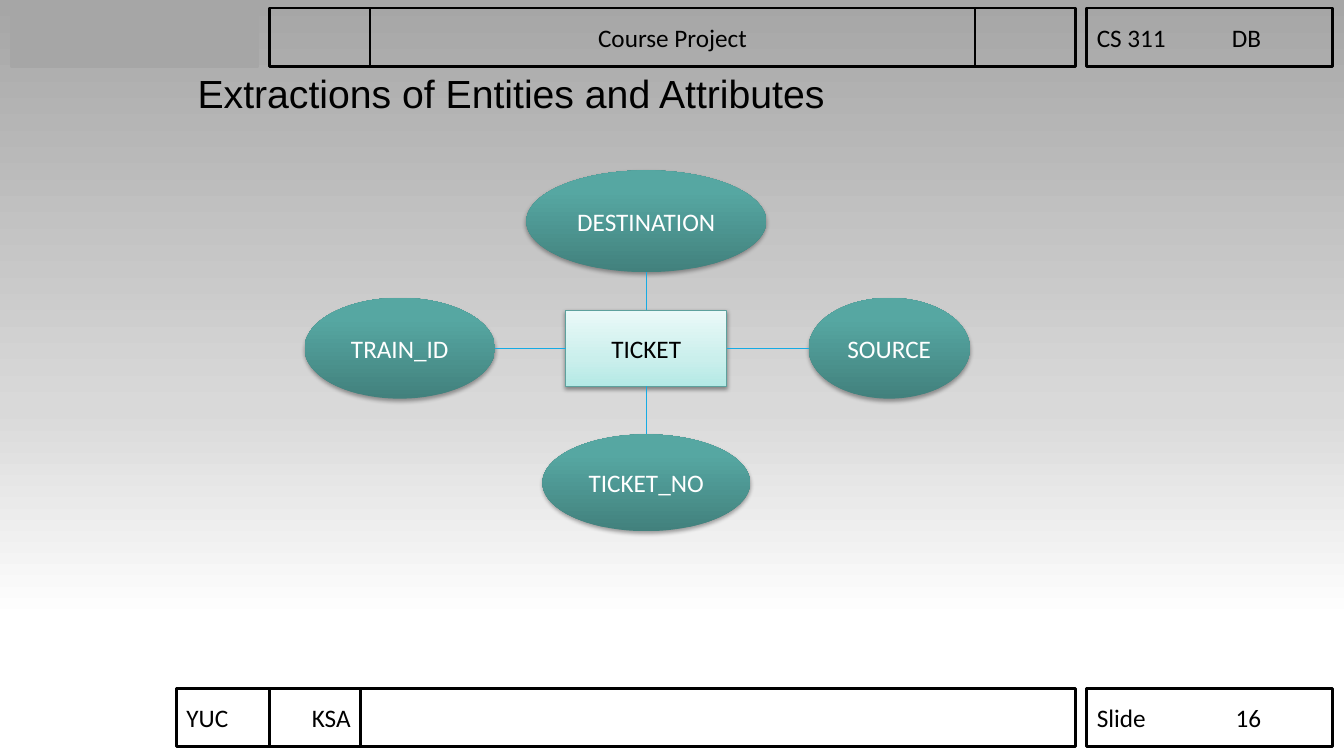
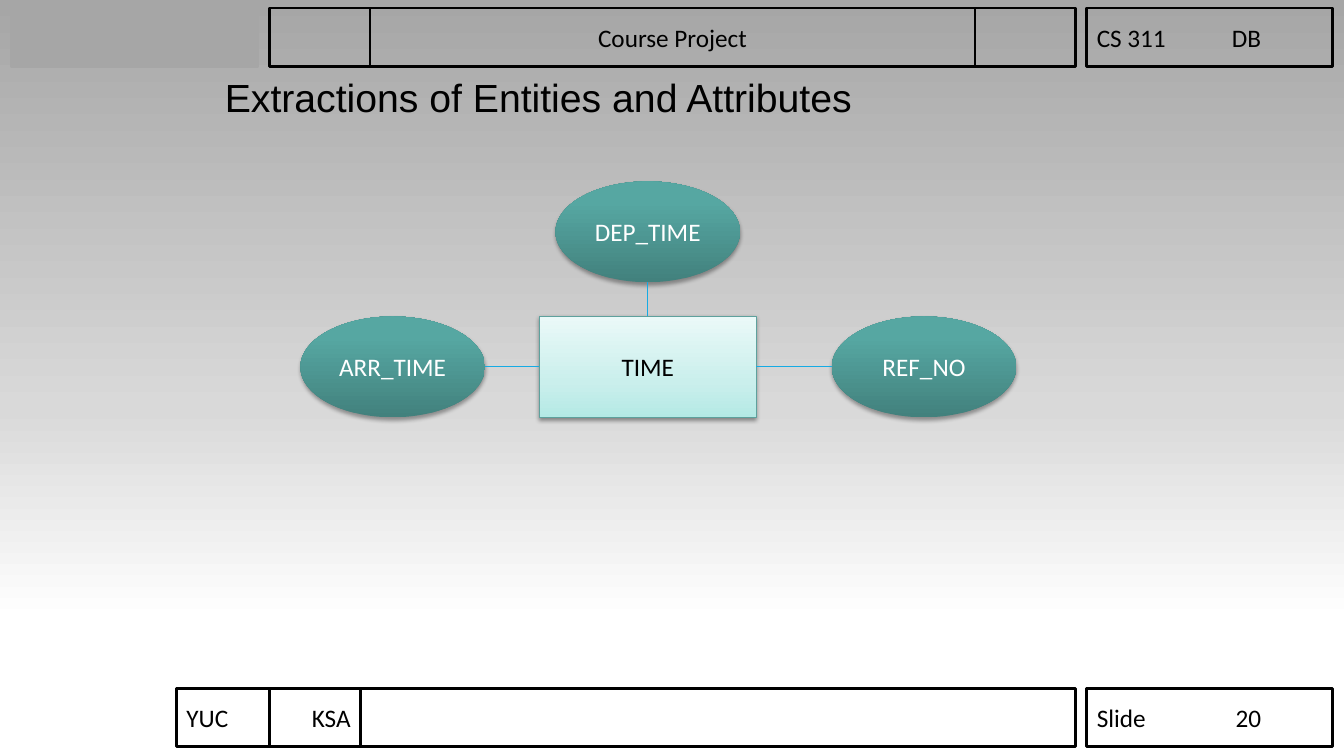
from dataclasses import dataclass

from lxml import etree
from pptx import Presentation
from pptx import util as u
from pptx.dml import color
from pptx.enum import shapes, text
from pptx.oxml import ns


@dataclass(frozen=True)
class Theme:
    body_font: str = "Calibri"
    title_font: str = "Arial"
    body_size: float = 18
    title_size: float = 28
    frame_line: float = 2
    thin_line: float = 0.75
    black: str = "000000"
    white: str = "FFFFFF"
    grey: str = "A6A6A6"
    entity_line: str = "5EA19D"
    link: str = "16ABE4"
    background: tuple = ((0, "A6A6A6"), (54, "D9D9D9"), (82, "FFFFFF"), (100, "FFFFFF"))
    entity: tuple = ((0, "B4E9E5"), (35, "CAEFEC"), (100, "EAF9F8"))
    attribute: tuple = ((0, "42817D"), (80, "56A7A2"), (100, "54AAA4"))


THEME = Theme()
RECTANGLE = shapes.MSO_SHAPE.RECTANGLE
OVAL = shapes.MSO_SHAPE.OVAL
LEFT, CENTER = text.PP_ALIGN.LEFT, text.PP_ALIGN.CENTER

BAND_HEIGHT = 0.58
HEADER_TOP, FOOTER_TOP = 0.08, 6.83
SIDE_LEFT, SIDE_WIDTH = 10.78, 2.44
MAIN_LEFT, MAIN_WIDTH = 2.67, 8
TAB_STOP = 1.63
# Connection sites of a rectangle
SITES = {"top": 0, "left": 1, "bottom": 2, "right": 3}

# Attributes: name, side of the entity, gap, width, height
SLIDES = [
    dict(number=16, title_at=(1.86, 0.64), entity="TICKET", box=(5.61, 3.08, 1.6, 0.75),
         attributes=[("TRAIN_ID", "left", 0.7, 1.89, 1),
                     ("TICKET_NO", "bottom", 0.48, 2.06, 0.96),
                     ("SOURCE", "right", 0.81, 1.6, 1),
                     ("DESTINATION", "top", 0.38, 2.38, 1.01)]),
    dict(number=20, title_at=(2.13, 0.68), entity="TIME", box=(5.35, 3.14, 2.15, 1),
         attributes=[("ARR_TIME", "left", 0.54, 1.83, 1),
                     ("DEP_TIME", "top", 0.34, 1.83, 1),
                     ("REF_NO", "right", 0.75, 1.83, 1)]),
]


def rgb(value):
    return color.RGBColor.from_string(value)


def add_element(parent, tag, **attributes):
    values = {name: str(value) for name, value in attributes.items()}
    return etree.SubElement(parent, ns.qn(tag), values)


def set_gradient(owner, fill, stops, angle):
    """Fill with (percent, colour) stops; angle runs counter-clockwise."""
    fill.gradient()
    fill.gradient_angle = angle
    stop_list = owner.element.find(".//" + ns.qn("a:gsLst"))
    for stop in list(stop_list):
        stop_list.remove(stop)
    for percent, value in stops:
        stop = add_element(stop_list, "a:gs", pos=percent * 1000)
        add_element(stop, "a:srgbClr", val=value)


def set_shadow(shape, opacity, distance):
    effects = shape.element.find(".//" + ns.qn("a:effectLst"))
    shadow = add_element(effects, "a:outerShdw", blurRad=u.Pt(3.1), dist=u.Pt(distance),
                         dir=90 * 60000, rotWithShape=0)
    tone = add_element(shadow, "a:srgbClr", val=THEME.black)
    add_element(tone, "a:alpha", val=opacity * 1000)


def add_run(paragraph, wording, font, size, value):
    run = paragraph.add_run()
    run.text = wording
    run.font.name = font
    run.font.size = u.Pt(size)
    run.font.color.rgb = rgb(value)


def add_box(slide, kind, box, wording="", align=CENTER, ink=THEME.black):
    """Add a shape without fill, line or shadow, holding one line of text."""
    shape = slide.shapes.add_shape(kind, *map(u.Inches, box))
    shape.shadow.inherit = False
    shape.fill.background()
    shape.line.fill.background()
    if wording:
        shape.text_frame.vertical_anchor = text.MSO_ANCHOR.MIDDLE
        paragraph = shape.text_frame.paragraphs[0]
        paragraph.alignment = align
        add_run(paragraph, wording, THEME.body_font, THEME.body_size, ink)
    return shape


def set_line(shape, value, width):
    shape.line.color.rgb = rgb(value)
    shape.line.width = u.Pt(width)


def add_cell(slide, left, top, width, wording="", align=CENTER):
    """Add one outlined cell of the header or footer band."""
    cell = add_box(slide, RECTANGLE, (left, top, width, BAND_HEIGHT), wording, align)
    set_line(cell, THEME.black, THEME.frame_line)
    if "\t" in wording:
        properties = cell.element.find(".//" + ns.qn("a:pPr"))
        tabs = add_element(properties, "a:tabLst")
        add_element(tabs, "a:tab", pos=u.Inches(TAB_STOP), algn="r")
    return cell


def add_header(slide):
    patch = add_box(slide, RECTANGLE, (0.11, HEADER_TOP, 2.45, BAND_HEIGHT))
    patch.fill.solid()
    patch.fill.fore_color.rgb = rgb(THEME.grey)
    set_line(patch, THEME.grey, THEME.frame_line)
    return [
        patch,
        add_cell(slide, MAIN_LEFT, HEADER_TOP, MAIN_WIDTH),
        add_cell(slide, MAIN_LEFT + 1, HEADER_TOP, MAIN_WIDTH - 2, "Course Project"),
        add_cell(slide, SIDE_LEFT, HEADER_TOP, SIDE_WIDTH, "CS 311\tDB", LEFT),
    ]


def add_footer(slide):
    return [
        add_cell(slide, MAIN_LEFT, FOOTER_TOP, MAIN_WIDTH),
        add_cell(slide, 1.75, FOOTER_TOP, 1.83, "YUC\tKSA", LEFT),
    ]


def prepare_layout(layout):
    set_gradient(layout, layout.background.fill, THEME.background, 270)
    for placeholder in list(layout.placeholders):
        if placeholder.placeholder_format.type != shapes.PP_PLACEHOLDER.TITLE:
            layout.shapes.element.remove(placeholder.element)


def share_bands(slide):
    """Draw the bands once and move them to the layout."""
    for shape in add_header(slide) + add_footer(slide):
        slide.slide_layout.shapes.element.append(shape.element)


def set_title(slide, left, top, wording):
    title = slide.shapes.title
    title.left, title.top = u.Inches(left), u.Inches(top)
    title.width, title.height = u.Inches(9.33), u.Inches(0.75)
    frame = title.text_frame
    frame.auto_size = text.MSO_AUTO_SIZE.NONE
    frame.vertical_anchor = text.MSO_ANCHOR.TOP
    paragraph = frame.paragraphs[0]
    paragraph.alignment = LEFT
    paragraph.space_before = u.Pt(3)
    add_run(paragraph, wording, THEME.title_font, THEME.title_size, THEME.black)


def place_attribute(box, side, gap, width, height):
    """Return the attribute's box and the point where its link ends."""
    left, top, box_width, box_height = box
    middle_x, middle_y = left + box_width / 2, top + box_height / 2
    end_x, end_y = {
        "left": (left - gap, middle_y),
        "right": (left + box_width + gap, middle_y),
        "top": (middle_x, top - gap),
        "bottom": (middle_x, top + box_height + gap),
    }[side]
    shift_x = {"left": 1, "right": 0}.get(side, 0.5)
    shift_y = {"top": 1, "bottom": 0}.get(side, 0.5)
    corner = end_x - shift_x * width, end_y - shift_y * height
    return (*corner, width, height), (end_x, end_y)


def add_link(slide, entity, side, end):
    x, y = map(u.Inches, end)
    link = slide.shapes.add_connector(shapes.MSO_CONNECTOR.STRAIGHT, x, y, x, y)
    link.begin_connect(entity, SITES[side])
    set_line(link, THEME.link, THEME.thin_line)
    add_element(link.element.find(ns.qn("p:spPr")), "a:effectLst")


def add_diagram(slide, name, box, attributes):
    """Draw an entity with its attributes centred on its sides."""
    entity = add_box(slide, RECTANGLE, box, name)
    set_gradient(entity, entity.fill, THEME.entity, 90)
    set_line(entity, THEME.entity_line, THEME.thin_line)
    set_shadow(entity, 38, 1.6)
    ends = []
    for wording, side, gap, width, height in attributes:
        area, end = place_attribute(box, side, gap, width, height)
        attribute = add_box(slide, OVAL, area, wording, ink=THEME.white)
        set_gradient(attribute, attribute.fill, THEME.attribute, 90)
        set_shadow(attribute, 35, 1.8)
        ends.append((side, end))
    for side, end in ends:
        add_link(slide, entity, side, end)


def main():
    presentation = Presentation()
    presentation.slide_width = u.Inches(13.33)
    presentation.slide_height = u.Inches(7.5)
    layout = presentation.slide_layouts.get_by_name("Title Only")
    prepare_layout(layout)
    for index, content in enumerate(SLIDES):
        slide = presentation.slides.add_slide(layout)
        if index == 0:
            share_bands(slide)
        set_title(slide, *content["title_at"], "Extractions of Entities and Attributes")
        add_cell(slide, SIDE_LEFT, FOOTER_TOP, SIDE_WIDTH, f"Slide\t{content['number']}", LEFT)
        add_diagram(slide, content["entity"], content["box"], content["attributes"])
    presentation.save("out.pptx")


if __name__ == "__main__":
    main()
